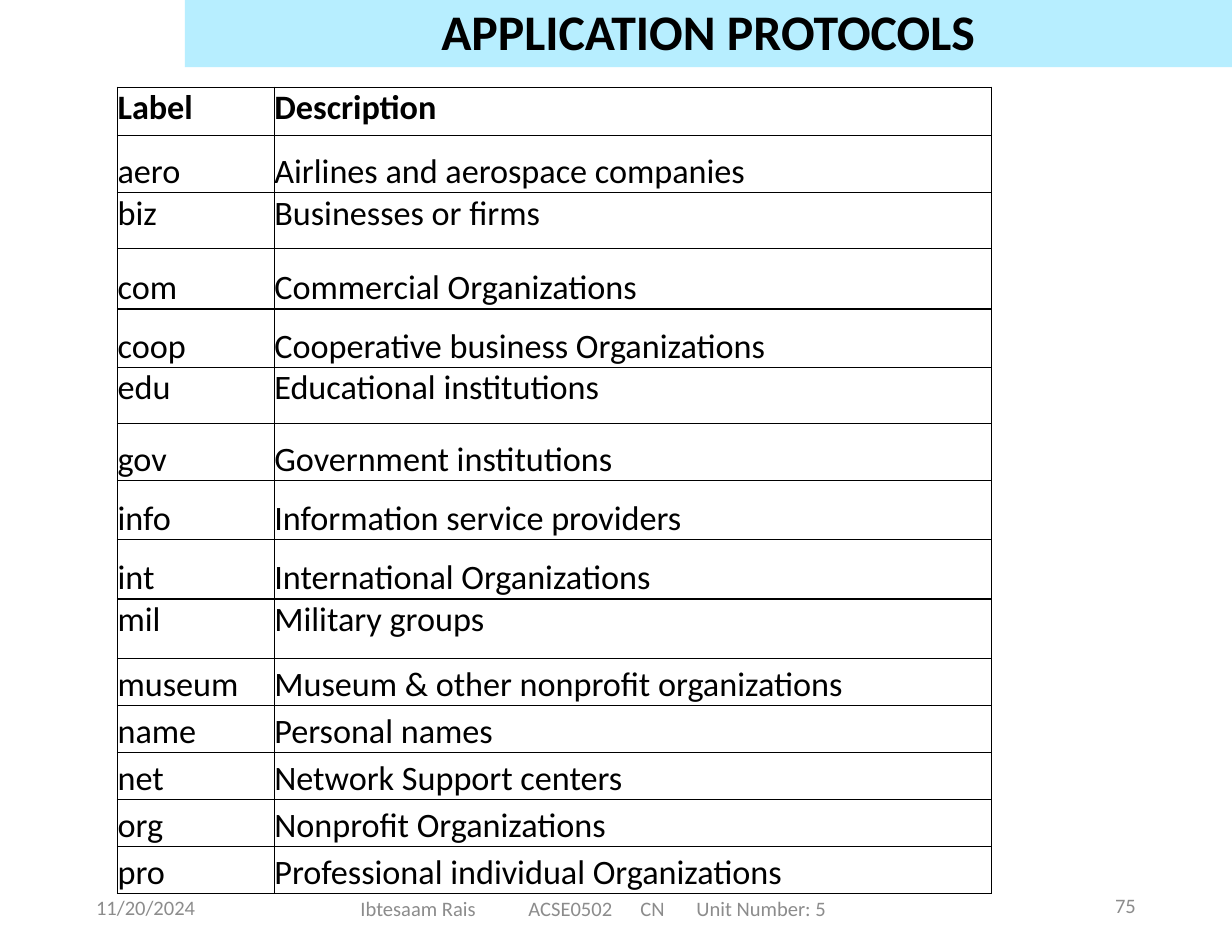
"""Build the application protocols slide with its table of domain labels."""
import pptx
import pptx.dml.color
import pptx.enum.text
import pptx.oxml
import pptx.oxml.ns
import pptx.util

BLACK = pptx.dml.color.RGBColor(0x00, 0x00, 0x00)
SKY = pptx.dml.color.RGBColor(0xB7, 0xEE, 0xFF)
GRAY = pptx.dml.color.RGBColor(0x8C, 0x8C, 0x8C)
ANCHOR = pptx.enum.text.MSO_ANCHOR
ALIGN = pptx.enum.text.PP_ALIGN
NAMESPACE = pptx.oxml.ns.nsdecls("a")

presentation = pptx.Presentation()
presentation.slide_width = pptx.util.Inches(11)
presentation.slide_height = pptx.util.Inches(8.5)
COLUMN = presentation.slide_width / 110
ROW = presentation.slide_height / 85
slide = presentation.slides.add_slide(presentation.slide_layouts[5])


def grid_box(left, top, width, height):
    return [int(left * COLUMN), int(top * ROW), int(width * COLUMN), int(height * ROW)]


def add_run(paragraph, text, size, color, bold=False):
    run = paragraph.add_run()
    run.text = text
    run.font.name = "Calibri"
    run.font.size = pptx.util.Pt(size)
    run.font.color.rgb = color
    run.font.bold = bold


domains = [
    ("Label", "Description", 4.3, ANCHOR.TOP),
    ("aero", "Airlines and aerospace companies", 5.1, ANCHOR.BOTTOM),
    ("biz", "Businesses or firms", 5, ANCHOR.TOP),
    ("com", "Commercial Organizations", 5.4, ANCHOR.BOTTOM),
    ("coop", "Cooperative business Organizations", 5.2, ANCHOR.BOTTOM),
    ("edu", "Educational institutions", 5, ANCHOR.TOP),
    ("gov", "Government institutions", 5.1, ANCHOR.BOTTOM),
    ("info", "Information service providers", 5.3, ANCHOR.BOTTOM),
    ("int", "International Organizations", 5.3, ANCHOR.BOTTOM),
    ("mil", "Military groups", 5.3, ANCHOR.TOP),
    ("museum", "Museum & other nonprofit organizations", 4.2, ANCHOR.BOTTOM),
    ("name", "Personal names", 4.2, ANCHOR.BOTTOM),
    ("net", "Network Support centers", 4.2, ANCHOR.BOTTOM),
    ("org", "Nonprofit Organizations", 4.2, ANCHOR.BOTTOM),
    ("pro", "Professional individual Organizations", 4.2, ANCHOR.BOTTOM),
]
table = slide.shapes.add_table(len(domains), 2, *grid_box(10.5, 7.8, 78, 71.8)).table
table.columns[0].width = int(14 * COLUMN)
table.columns[1].width = int(64 * COLUMN)
for row_index, (label, description, height, anchor) in enumerate(domains):
    table.rows[row_index].height = int(height * ROW)
    for column_index, text in enumerate((label, description)):
        cell = table.cell(row_index, column_index)
        cell.margin_left = cell.margin_right = cell.margin_top = cell.margin_bottom = 0
        cell.vertical_anchor = anchor
        add_run(cell.text_frame.paragraphs[0], text, 22, BLACK, row_index == 0)
        properties = cell._tc.get_or_add_tcPr()
        for edge in ("lnL", "lnR", "lnT", "lnB"):
            properties.append(pptx.oxml.parse_xml(
                f'<a:{edge} {NAMESPACE} w="12700"><a:solidFill>'
                f'<a:srgbClr val="{BLACK}"/></a:solidFill></a:{edge}>'))
        cell.fill.background()

title = slide.shapes.title
title.left, title.top, title.width, title.height = grid_box(16.5, 0, 93.5, 6)
title.fill.solid()
title.fill.fore_color.rgb = SKY
title.text_frame.auto_size = pptx.enum.text.MSO_AUTO_SIZE.NONE
title.text_frame.vertical_anchor = ANCHOR.BOTTOM
title_paragraph = title.text_frame.paragraphs[0]
title_paragraph.alignment = ALIGN.CENTER
title_paragraph.line_spacing = 0.9
add_run(title_paragraph, "APPLICATION PROTOCOLS", 32, BLACK, True)

footers = [
    ("11/20/2024", (7.6, 78.8, 12.4, 4.5), ALIGN.LEFT, ()),
    ("75", (95.6, 78.6, 6.8, 4.5), ALIGN.RIGHT, ()),
    ("Ibtesaam Rais\tACSE0502\tCN\tUnit Number: 5", (27, 78.9, 60.5, 4.4),
     ALIGN.LEFT, (18.2, 34, 42.8)),
]
for text, box, alignment, tab_columns in footers:
    shape = slide.shapes.add_textbox(*grid_box(*box))
    shape.text_frame.word_wrap = True
    shape.text_frame.vertical_anchor = ANCHOR.MIDDLE
    paragraph = shape.text_frame.paragraphs[0]
    paragraph.alignment = alignment
    if tab_columns:
        properties = paragraph._p.get_or_add_pPr()
        properties.set("marL", str(int(4.2 * COLUMN)))
        properties.set("indent", "0")
        stops = "".join(f'<a:tab pos="{int(stop * COLUMN)}" algn="l"/>' for stop in tab_columns)
        properties.append(pptx.oxml.parse_xml(f"<a:tabLst {NAMESPACE}>{stops}</a:tabLst>"))
    add_run(paragraph, text, 13.2, GRAY)

presentation.save("out.pptx")
